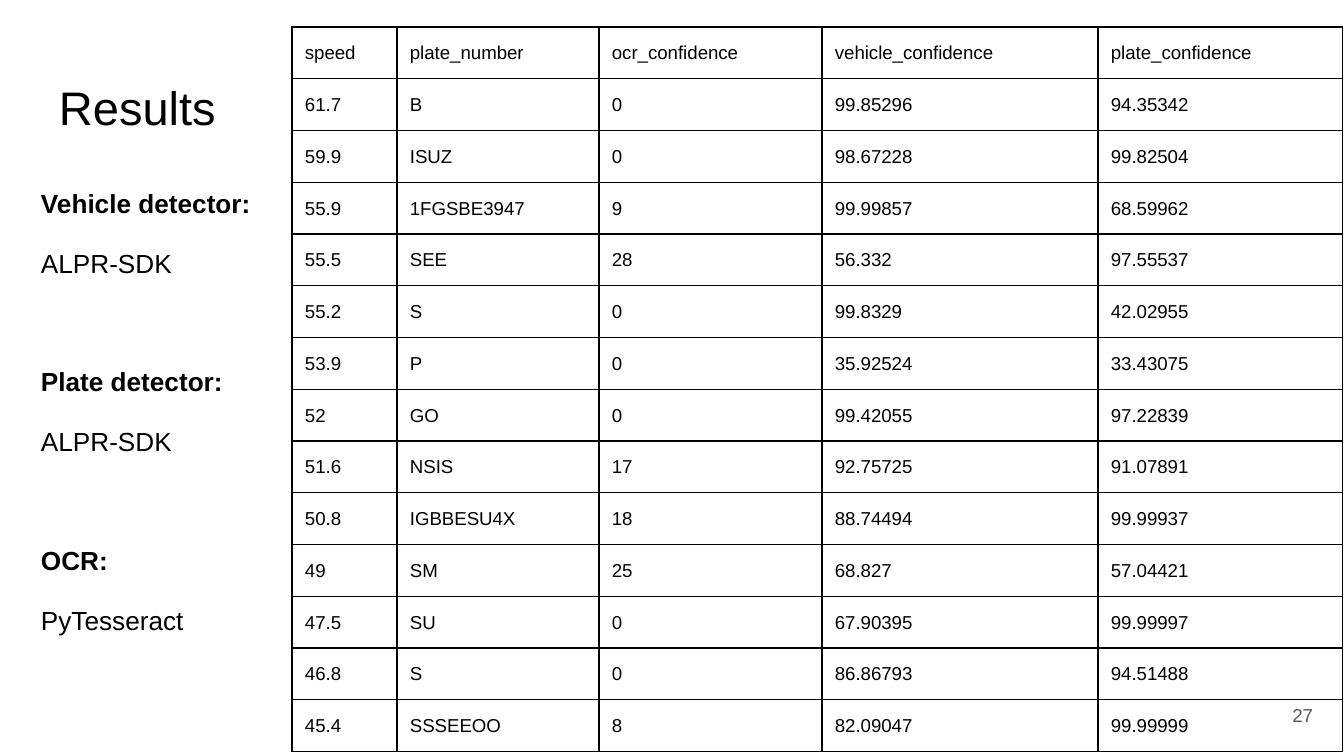
from lxml.etree import SubElement
from pptx import Presentation
from pptx.dml.color import RGBColor
from pptx.enum.text import MSO_ANCHOR as Anchor, PP_ALIGN as Align
from pptx.oxml.ns import qn
from pptx.util import Emu, Pt

EMU_PER_PX = 914400 / 134.4
INSET = 13
FONT = "Arial"
BLACK = RGBColor(0x00, 0x00, 0x00)
GRAY = RGBColor(0x59, 0x59, 0x59)

COLUMN_WIDTHS = [105, 202, 223, 276, 245]
ROW_HEIGHT = 51
RESULTS = [
    ("speed", "plate_number", "ocr_confidence", "vehicle_confidence", "plate_confidence"),
    ("61.7", "B", "0", "99.85296", "94.35342"),
    ("59.9", "ISUZ", "0", "98.67228", "99.82504"),
    ("55.9", "1FGSBE3947", "9", "99.99857", "68.59962"),
    ("55.5", "SEE", "28", "56.332", "97.55537"),
    ("55.2", "S", "0", "99.8329", "42.02955"),
    ("53.9", "P", "0", "35.92524", "33.43075"),
    ("52", "GO", "0", "99.42055", "97.22839"),
    ("51.6", "NSIS", "17", "92.75725", "91.07891"),
    ("50.8", "IGBBESU4X", "18", "88.74494", "99.99937"),
    ("49", "SM", "25", "68.827", "57.04421"),
    ("47.5", "SU", "0", "67.90395", "99.99997"),
    ("46.8", "S", "0", "86.86793", "94.51488"),
    ("45.4", "SSSEEOO", "8", "82.09047", "99.99999"),
]
COMPONENTS = [
    ("Vehicle detector:", "ALPR-SDK"),
    ("Plate detector:", "ALPR-SDK"),
    ("OCR:", "PyTesseract"),
]


def px(length):
    return Emu(round(length * EMU_PER_PX))


def set_margins(target):
    target.margin_left = target.margin_right = px(INSET)
    target.margin_top = target.margin_bottom = px(INSET)


def write(paragraph, text, size, color=BLACK, bold=False):
    paragraph.text = text
    paragraph.font.name = FONT
    paragraph.font.size = Pt(size)
    paragraph.font.bold = bold
    paragraph.font.color.rgb = color


def add_text_frame(slide, left, top, width, height):
    shape = slide.shapes.add_textbox(px(left), px(top), px(width), px(height))
    frame = shape.text_frame
    frame.word_wrap = True
    set_margins(frame)
    return frame


def add_title(slide):
    frame = add_text_frame(slide, 46, 66, 1252, 84)
    write(frame.paragraphs[0], "Results", 25.2)


def add_border(cell):
    properties = cell._tc.get_or_add_tcPr()
    for side in ("a:lnL", "a:lnR", "a:lnT", "a:lnB"):
        line = SubElement(properties, qn(side), w=str(Pt(0.75)))
        fill = SubElement(line, qn("a:solidFill"))
        SubElement(fill, qn("a:srgbClr"), val=str(BLACK))


def add_results_table(slide):
    table = slide.shapes.add_table(
        len(RESULTS), len(COLUMN_WIDTHS), px(292), px(27),
        px(sum(COLUMN_WIDTHS)), px(ROW_HEIGHT * len(RESULTS)),
    ).table
    table.first_row = False
    table.horz_banding = False
    for column, width in zip(table.columns, COLUMN_WIDTHS):
        column.width = px(width)
    for row, values in zip(table.rows, RESULTS):
        row.height = px(ROW_HEIGHT)
        for cell, value in zip(row.cells, values):
            set_margins(cell)
            add_border(cell)
            cell.fill.background()
            paragraph = cell.text_frame.paragraphs[0]
            paragraph.line_spacing = 1.15
            write(paragraph, value, 10)


def add_components(slide):
    frame = add_text_frame(slide, 28, 168, 325, 503)
    for index, (heading, tool) in enumerate(COMPONENTS):
        if index:
            heading_paragraph = frame.add_paragraph()
            heading_paragraph.space_before = Pt(43.3)
        else:
            heading_paragraph = frame.paragraphs[0]
        write(heading_paragraph, heading, 14, bold=True)
        tool_paragraph = frame.add_paragraph()
        tool_paragraph.space_before = Pt(12)
        write(tool_paragraph, tool, 14)
    for paragraph in frame.paragraphs:
        paragraph.line_spacing = 1.2


def add_slide_number(slide):
    frame = add_text_frame(slide, 1246, 686, 80, 58)
    frame.vertical_anchor = Anchor.MIDDLE
    paragraph = frame.paragraphs[0]
    paragraph.alignment = Align.RIGHT
    write(paragraph, "27", 10, GRAY)


def main():
    presentation = Presentation()
    presentation.slide_width = px(1344)
    presentation.slide_height = px(756)
    slide = presentation.slides.add_slide(presentation.slide_layouts[6])
    add_title(slide)
    add_results_table(slide)
    add_components(slide)
    add_slide_number(slide)
    presentation.save("out.pptx")


if __name__ == "__main__":
    main()
